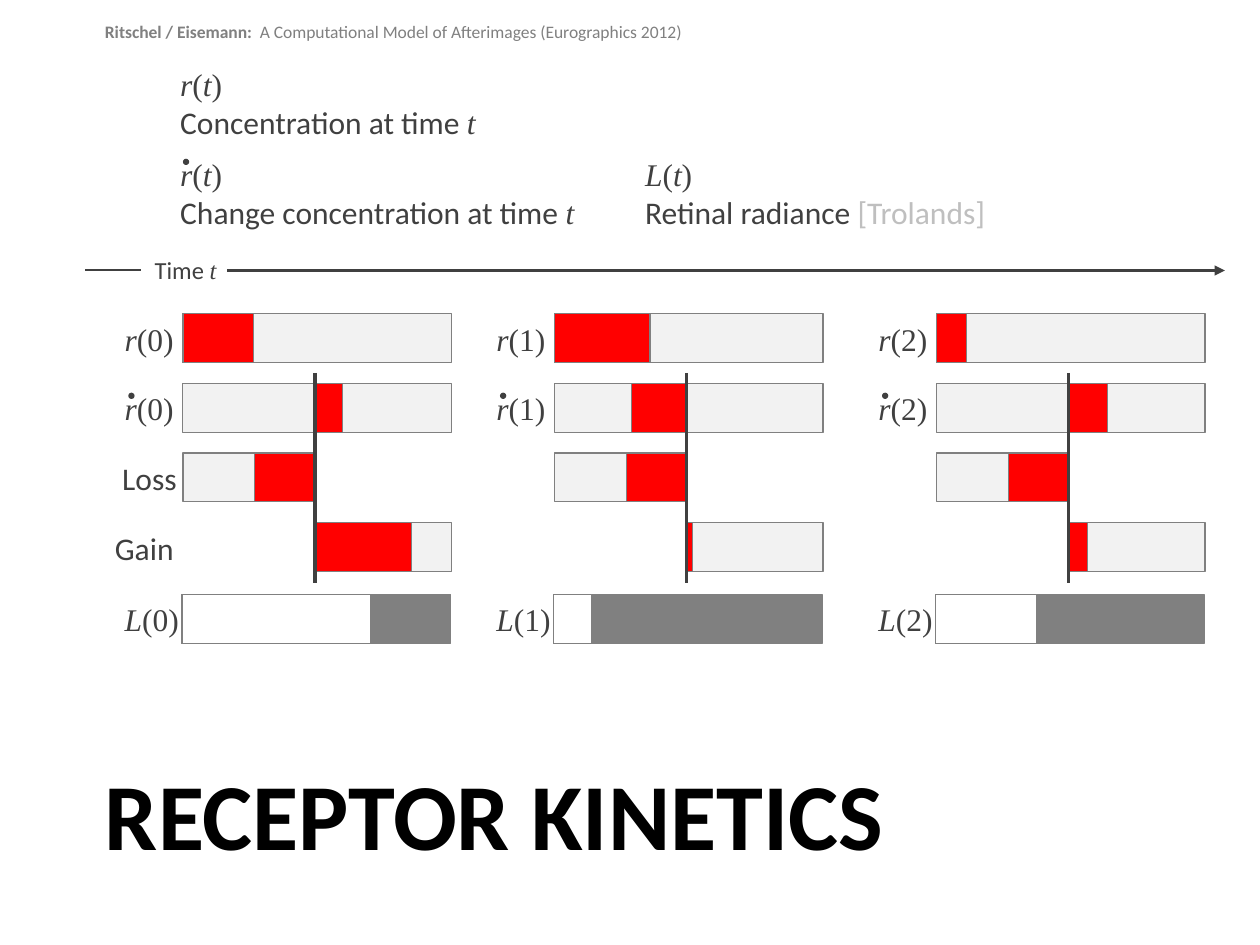
from dataclasses import dataclass
from typing import NamedTuple

from lxml import etree
from pptx import Presentation
from pptx import util as u
from pptx.dml.color import RGBColor
from pptx.enum import shapes, text
from pptx.oxml import ns

COLORS = {
    "ink": "404040",
    "title": "000000",
    "edge": "808080",
    "track": "F2F2F2",
    "level": "FF0000",
    "light": "FFFFFF",
    "muted": "BFBFBF",
}
SANS = "Calibri"
SERIF = "Times New Roman"

BAR_WIDTH, BAR_HEIGHT = 153.4, 28
FIRST_ROW, ROW_PITCH = 179.2, 39.8
RATE_ROW, LOSS_ROW, GAIN_ROW = (FIRST_ROW + ROW_PITCH * i for i in (1, 2, 3))
RADIANCE_ROW = 339.6
ZERO_OFFSET = 75.5
LABEL_GAP = 33.2
LABEL_DROP = 3.5
DOT_SIZE = 3.6


class Span(NamedTuple):
    text: str
    font: str = SANS
    italic: bool = False
    bold: bool = False
    color: str = "ink"


@dataclass
class Step:
    """State of the receptor at one time; bar lengths are in points."""
    time: int
    left: float
    level: float
    change: float
    loss: float
    gain: float
    radiance: float


STEPS = [
    Step(0, 104.5, 40.4, 15.8, 34.5, 55.4, 108),
    Step(1, 316.9, 54.6, -31.7, 34.5, 3.4, 21.6),
    Step(2, 535.2, 17.3, 22.2, 34.5, 10.8, 57.6),
]


def color(name: str) -> RGBColor:
    return RGBColor.from_string(COLORS[name])


def formula(symbol: str, argument: str) -> list[Span]:
    return [
        Span(symbol, SERIF, italic=True),
        Span("(", SERIF),
        Span(argument, SERIF, italic=argument.isalpha()),
        Span(")", SERIF),
    ]


def add_text(page, left: float, top: float, width: float, height: float,
             lines: list[list[Span]], size: float = 18, wrap: bool = False,
             align=text.PP_ALIGN.LEFT) -> None:
    """Add one paragraph whose lines are separated by line breaks."""
    box = page.shapes.add_textbox(u.Pt(left), u.Pt(top), u.Pt(width), u.Pt(height))
    frame = box.text_frame
    frame.margin_left = frame.margin_right = frame.margin_top = frame.margin_bottom = 0
    frame.word_wrap = wrap
    if not wrap:
        frame.auto_size = text.MSO_AUTO_SIZE.SHAPE_TO_FIT_TEXT
    para = frame.paragraphs[0]
    para.alignment = align
    for number, line in enumerate(lines):
        if number:
            para.add_line_break()
        for span in line:
            run = para.add_run()
            run.text = span.text
            run.font.name = span.font
            run.font.size = u.Pt(size)
            run.font.italic = span.italic
            run.font.bold = span.bold
            run.font.color.rgb = color(span.color)


def add_bar(page, left: float, top: float, width: float, fill: str) -> None:
    bar = page.shapes.add_shape(shapes.MSO_SHAPE.RECTANGLE, u.Pt(left), u.Pt(top),
                                u.Pt(width), u.Pt(BAR_HEIGHT))
    bar.shadow.inherit = False
    bar.fill.solid()
    bar.fill.fore_color.rgb = color(fill)
    bar.line.color.rgb = color("edge")
    bar.line.width = u.Pt(0.75)


def add_dot(page, left: float, top: float) -> None:
    """Add the derivative dot above a symbol."""
    dot = page.shapes.add_shape(shapes.MSO_SHAPE.OVAL, u.Pt(left), u.Pt(top),
                                u.Pt(DOT_SIZE), u.Pt(DOT_SIZE))
    dot.shadow.inherit = False
    dot.fill.solid()
    dot.fill.fore_color.rgb = color("ink")
    dot.line.fill.background()


def add_line(page, x1: float, y1: float, x2: float, y2: float,
             width: float, arrow: bool = False) -> None:
    line = page.shapes.add_connector(shapes.MSO_CONNECTOR.STRAIGHT,
                                     u.Pt(x1), u.Pt(y1), u.Pt(x2), u.Pt(y2))
    line.line.color.rgb = color("ink")
    line.line.width = u.Pt(width)
    if arrow:
        outline = line.line._get_or_add_ln()
        etree.SubElement(outline, ns.qn("a:tailEnd"), type="triangle")
    etree.SubElement(line._element.spPr, ns.qn("a:effectLst"))


def add_step(page, step: Step) -> None:
    """Draw the five bars of one time step, their symbols and the zero line."""
    left, zero = step.left, step.left + ZERO_OFFSET
    label_left = left - LABEL_GAP

    add_bar(page, left, FIRST_ROW, BAR_WIDTH, "track")
    add_bar(page, left, FIRST_ROW, step.level, "level")
    add_bar(page, left, RATE_ROW, BAR_WIDTH, "track")
    add_bar(page, zero + min(step.change, 0), RATE_ROW, abs(step.change), "level")
    add_bar(page, left, LOSS_ROW, ZERO_OFFSET, "track")
    add_bar(page, zero - step.loss, LOSS_ROW, step.loss, "level")
    add_bar(page, zero, GAIN_ROW, BAR_WIDTH - ZERO_OFFSET, "track")
    add_bar(page, zero, GAIN_ROW, step.gain, "level")
    add_bar(page, left - 0.5, RADIANCE_ROW, BAR_WIDTH, "edge")
    add_bar(page, left - 0.5, RADIANCE_ROW, step.radiance, "light")

    for symbol, top, width in (("r", FIRST_ROW, 28), ("r", RATE_ROW, 28),
                               ("L", RADIANCE_ROW, 31)):
        add_text(page, label_left, top + LABEL_DROP, width, 21.6,
                 [formula(symbol, str(step.time))])
    add_dot(page, label_left + 2, RATE_ROW + 5.4)
    add_line(page, zero, 213.1, zero, 333.4, 2)


def main() -> None:
    deck = Presentation()
    deck.slide_width, deck.slide_height = u.Pt(720), u.Pt(540)
    page = deck.slides.add_slide(deck.slide_layouts[6])

    add_text(page, 60, 12.2, 618, 21.6, [[
        Span("Ritschel / Eisemann:  ", bold=True, color="edge"),
        Span("A Computational Model of Afterimages (Eurographics 2012)", color="edge"),
    ]], size=10, wrap=True)
    add_text(page, 60, 432, 618, 100,
             [[Span("RECEPTOR KINETICS", bold=True, color="title")]], size=54, wrap=True)

    time = Span("t", SERIF, italic=True)
    add_text(page, 103, 37.4, 175, 44,
             [formula("r", "t"), [Span("Concentration at time "), time]])
    add_text(page, 103, 88.6, 235, 44,
             [formula("r", "t"), [Span("Change concentration at time "), time]])
    add_dot(page, 104.5, 90.7)
    add_text(page, 368.6, 88.6, 201, 44,
             [formula("L", "t"),
              [Span("Retinal radiance "), Span("[Trolands]", color="muted")]])

    add_line(page, 48.8, 154.3, 80.6, 154.3, 1.5)
    add_text(page, 88.4, 145.6, 41, 23.8, [[Span("Time "), time]], size=14, wrap=True)
    add_line(page, 129.8, 154.6, 700, 154.6, 1.5, arrow=True)

    for step in STEPS:
        add_step(page, step)
    for name, left, top, width in (("Loss", 68.6, LOSS_ROW, 32.4),
                                   ("Gain", 64.2, GAIN_ROW, 35)):
        add_text(page, left, top + LABEL_DROP, width, 21.6, [[Span(name)]],
                 align=text.PP_ALIGN.RIGHT)

    deck.save("out.pptx")


if __name__ == "__main__":
    main()
